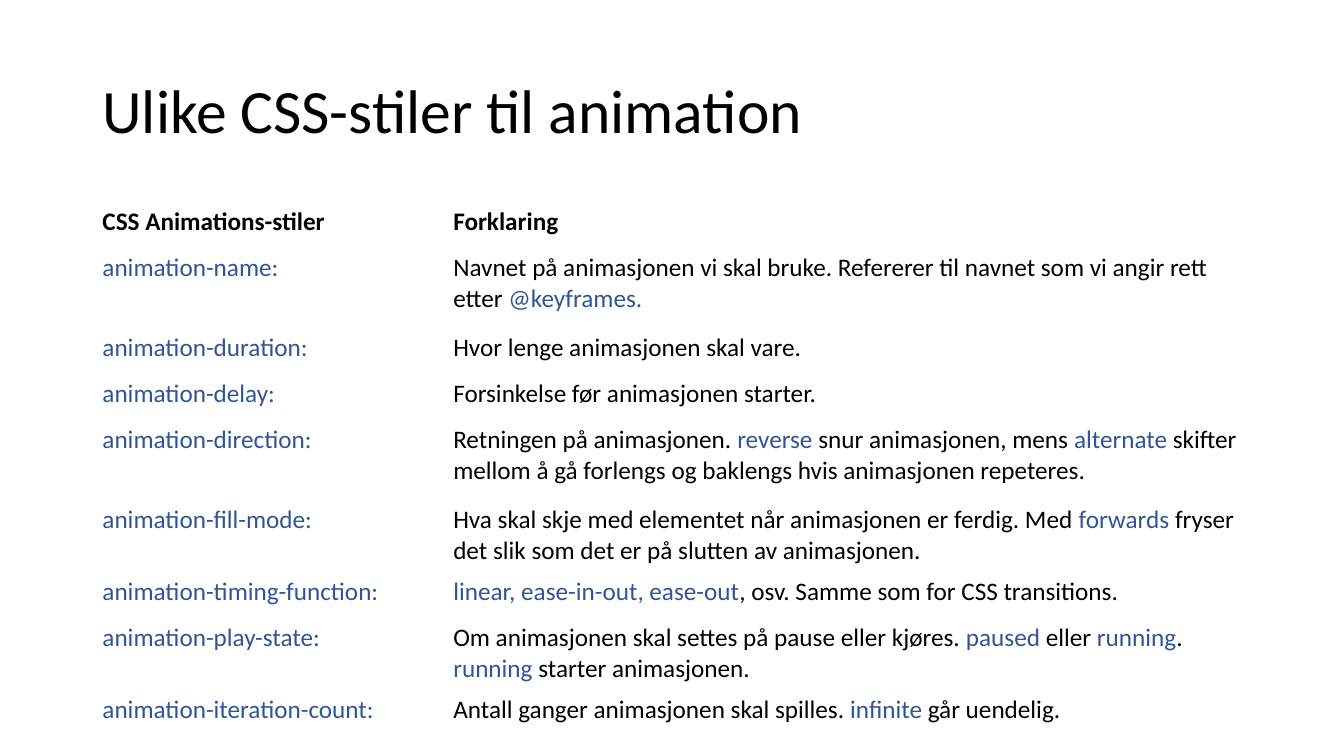
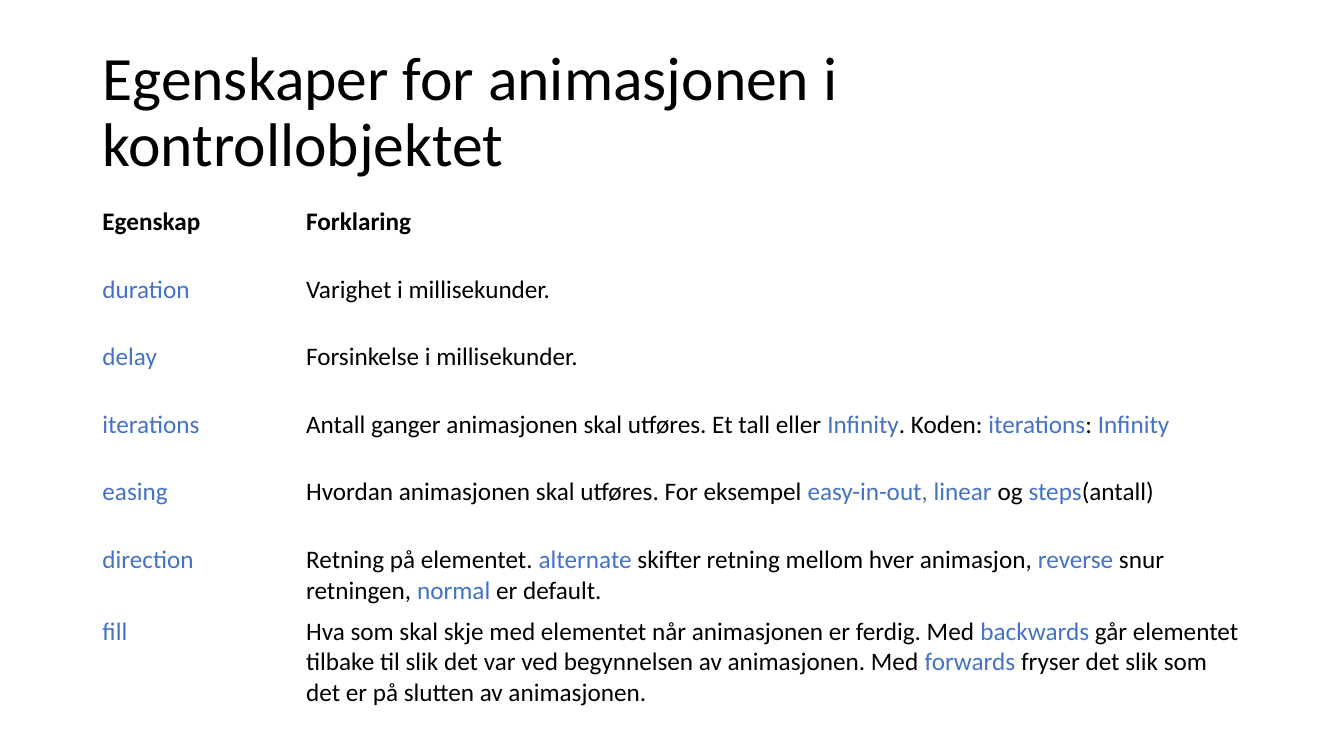
from pptx import Presentation
from pptx.dml.color import RGBColor
from pptx.enum.text import MSO_ANCHOR, MSO_AUTO_SIZE, PP_ALIGN
from pptx.util import Pt

BLACK = RGBColor(0x00, 0x00, 0x00)
DARK_BLUE = RGBColor(0x2F, 0x55, 0x97)
BLUE = RGBColor(0x44, 0x72, 0xC4)

ONE_LINE, TWO_LINES, TWO_LINES_LOOSE = 33, 49.8, 57
PROPERTY_ROW = 48.3

# Words between backticks are code and take the code colour.
CSS_ROWS = [
    ("CSS Animations-stiler", "Forklaring", ONE_LINE),
    ("`animation-name:`",
     "Navnet på animasjonen vi skal bruke. Refererer til navnet som vi angir rett "
     "etter `@keyframes.`", TWO_LINES_LOOSE),
    ("`animation-duration:`", "Hvor lenge animasjonen skal vare.", ONE_LINE),
    ("`animation-delay:`", "Forsinkelse før animasjonen starter.", ONE_LINE),
    ("`animation-direction:`",
     "Retningen på animasjonen. `reverse` snur animasjonen, mens `alternate` skifter "
     "mellom å gå forlengs og baklengs hvis animasjonen repeteres.", TWO_LINES_LOOSE),
    ("`animation-fill-mode:`",
     "Hva skal skje med elementet når animasjonen er ferdig. Med `forwards` fryser "
     "det slik som det er på slutten av animasjonen.", TWO_LINES),
    ("`animation-timing-function:`",
     "`linear, ease-in-out, ease-out`, osv. Samme som for CSS transitions.", ONE_LINE),
    ("`animation-play-state:`",
     "Om animasjonen skal settes på pause eller kjøres. `paused` eller `running`. "
     "`running` starter animasjonen.", TWO_LINES),
    ("`animation-iteration-count:`",
     "Antall ganger animasjonen skal spilles. `infinite` går uendelig.", ONE_LINE),
]

PROPERTY_ROWS = [(name, explanation, PROPERTY_ROW) for name, explanation in [
    ("Egenskap", "Forklaring"),
    ("`duration`", "Varighet i millisekunder."),
    ("`delay`", "Forsinkelse i millisekunder."),
    ("`iterations`",
     "Antall ganger animasjonen skal utføres. Et tall eller `Infinity`. "
     "Koden: `iterations`: `Infinity`"),
    ("`easing`",
     "Hvordan animasjonen skal utføres. For eksempel `easy-in-out, linear `og "
     "`steps`(antall)"),
    ("`direction`",
     "Retning på elementet. `alternate` skifter retning mellom hver animasjon, "
     "`reverse` snur retningen, `normal` er default."),
    ("`fill`",
     "Hva som skal skje med elementet når animasjonen er ferdig. Med `backwards` går "
     "elementet tilbake til slik det var ved begynnelsen av animasjonen. Med "
     "`forwards` fryser det slik som det er på slutten av animasjonen."),
]]


class Deck:
    """Holds the shared style and the slide being built."""

    FONT = "Calibri"
    TITLE_SIZE, TABLE_SIZE = Pt(44), Pt(18)
    LEFT, TABLE_TOP = Pt(66), Pt(144)

    def __init__(self):
        self.presentation = Presentation()
        self.presentation.slide_width = Pt(960)
        self.presentation.slide_height = Pt(540)
        self.slide = None

    def add_slide(self, title):
        title_only = self.presentation.slide_layouts[5]
        self.slide = self.presentation.slides.add_slide(title_only)
        self.add_title(title)

    def add_title(self, text):
        shape = self.slide.shapes.title
        shape.left, shape.top = self.LEFT, Pt(28.75)
        shape.width, shape.height = Pt(828), Pt(104.4)
        frame = shape.text_frame
        frame.vertical_anchor = MSO_ANCHOR.MIDDLE
        frame.auto_size = MSO_AUTO_SIZE.NONE
        paragraph = frame.paragraphs[0]
        paragraph.alignment = PP_ALIGN.LEFT
        paragraph.line_spacing = 0.9
        self.add_run(paragraph, text, self.TITLE_SIZE, BLACK)

    def add_run(self, paragraph, text, size, color, bold=False):
        run = paragraph.add_run()
        run.text = text
        font = run.font
        font.name, font.size, font.bold = self.FONT, size, bold
        font.color.rgb = color

    def add_table(self, rows, column_widths, code_color):
        """Each row is (name, explanation, height); the first is the header."""
        width = Pt(sum(column_widths))
        height = Pt(sum(row_height for _, _, row_height in rows))
        table = self.slide.shapes.add_table(
            len(rows), len(column_widths), self.LEFT, self.TABLE_TOP, width, height).table
        table.first_row = table.horz_banding = False
        for column, column_width in zip(table.columns, column_widths):
            column.width = Pt(column_width)
        for index, (*texts, row_height) in enumerate(rows):
            row = table.rows[index]
            row.height = Pt(row_height)
            for cell, text in zip(row.cells, texts):
                self.fill_cell(cell, text, code_color, bold=index == 0)

    def fill_cell(self, cell, text, code_color, bold):
        cell.fill.background()
        paragraph = cell.text_frame.paragraphs[0]
        for index, part in enumerate(text.split("`")):
            if part:
                color = code_color if index % 2 else BLACK
                self.add_run(paragraph, part, self.TABLE_SIZE, color, bold)


def main():
    deck = Deck()
    deck.add_slide("Ulike CSS-stiler til animation")
    deck.add_table(CSS_ROWS, (250.6, 586.4), DARK_BLUE)
    deck.add_slide("Egenskaper for animasjonen i kontrollobjektet")
    deck.add_table(PROPERTY_ROWS, (145.5, 682.5), BLUE)
    deck.presentation.save("out.pptx")


if __name__ == "__main__":
    main()
